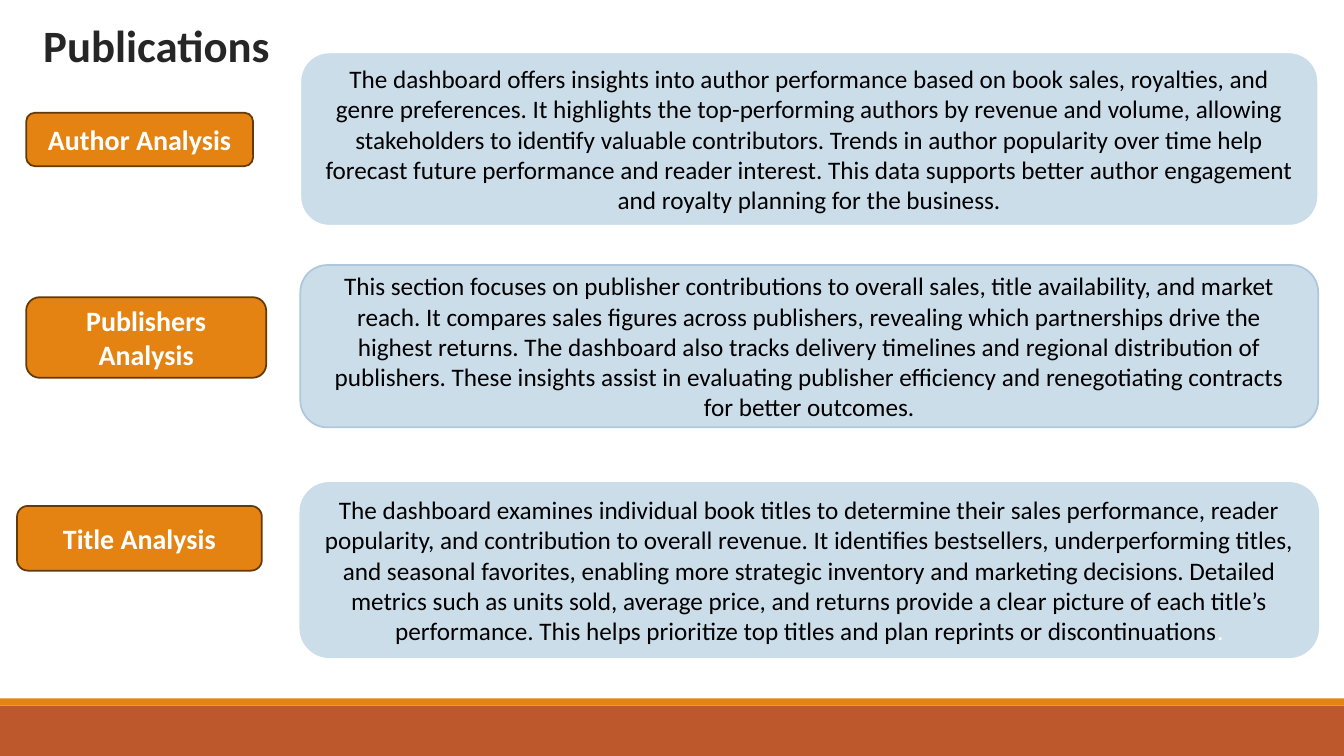
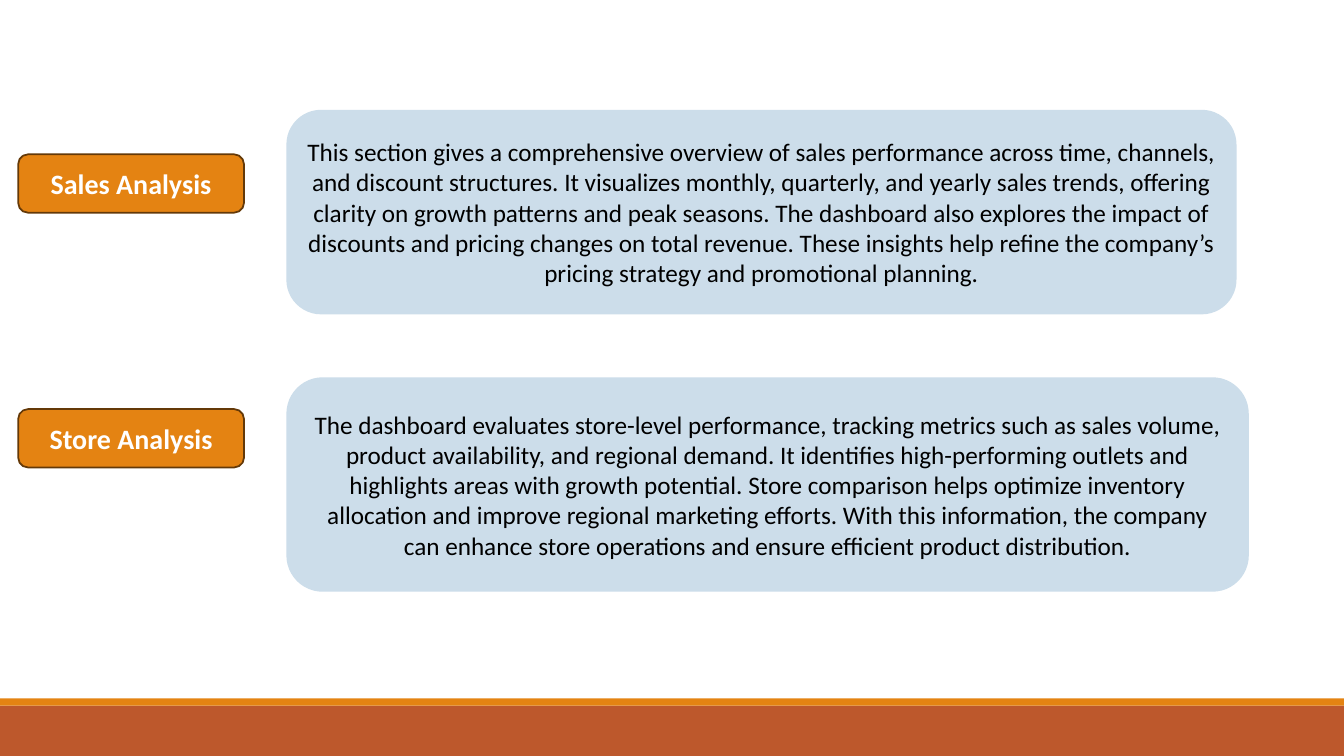
from pptx import Presentation
from pptx.dml.color import RGBColor
from pptx.enum.shapes import MSO_SHAPE
from pptx.enum.text import MSO_ANCHOR, PP_ALIGN
from pptx.util import Cm, Pt

RECTANGLE = MSO_SHAPE.RECTANGLE
ROUNDED = MSO_SHAPE.ROUNDED_RECTANGLE
MIDDLE = MSO_ANCHOR.MIDDLE
CENTER = PP_ALIGN.CENTER

RUST = RGBColor(0xBD, 0x58, 0x2C)
ORANGE = RGBColor(0xE4, 0x83, 0x12)
BROWN = RGBColor(0x64, 0x39, 0x08)
PALE_BLUE = RGBColor(0xCC, 0xDD, 0xEA)
BLUE = RGBColor(0xAD, 0xC8, 0xDD)
CHARCOAL = RGBColor(0x26, 0x26, 0x26)
BLACK = RGBColor(0x00, 0x00, 0x00)
WHITE = RGBColor(0xFF, 0xFF, 0xFF)

FONT = "Calibri"
SLIDE_WIDTH, SLIDE_HEIGHT = 33.87, 19.05
BAND_HEIGHT, STRIPE_HEIGHT = 1.27, 0.18

PUBLICATIONS = [
    ("Author Analysis", (0.66, 2.84, 5.72, 1.35), (7.57, 1.32, 25.65, 4.37), WHITE,
     ["The dashboard offers insights into author performance based on book sales, "
      "royalties, and genre preferences. It highlights the top-performing authors by "
      "revenue and volume, allowing stakeholders to identify valuable contributors. "
      "Trends in author popularity over time help forecast future performance and "
      "reader interest. This data supports better author engagement and royalty "
      "planning for the business."]),
    ("Publishers Analysis", (0.66, 7.49, 6.05, 2.03), (7.57, 6.68, 25.65, 4.09), BLUE,
     ["This section focuses on publisher contributions to overall sales, title "
      "availability, and market reach. It compares sales figures across publishers, "
      "revealing which partnerships drive the highest returns. The dashboard also "
      "tracks delivery timelines and regional distribution of publishers. These "
      "insights assist in evaluating publisher efficiency and renegotiating contracts "
      "for better outcomes."]),
    ("Title Analysis", (0.43, 12.75, 6.17, 1.63), (7.57, 12.17, 25.65, 4.39), PALE_BLUE,
     ["The dashboard examines individual book titles to determine their sales "
      "performance, reader popularity, and contribution to overall revenue. It "
      "identifies bestsellers, underperforming titles, and seasonal favorites, "
      "enabling more strategic inventory and marketing decisions. Detailed metrics "
      "such as units sold, average price, and returns provide a clear picture of each "
      "title’s performance. This helps prioritize top titles and plan reprints or "
      "discontinuations", "."]),
]

OPERATIONS = [
    ("Sales Analysis", (0.46, 3.89, 5.69, 1.47), (7.24, 2.79, 23.9, 5.11), PALE_BLUE,
     ["This section gives a comprehensive overview of sales performance across time, "
      "channels, and discount structures. It visualizes monthly, quarterly, and yearly "
      "sales trends, offering clarity on growth patterns and peak seasons. The "
      "dashboard also explores the impact of discounts and pricing changes on total "
      "revenue. These insights help refine the company’s pricing strategy and "
      "promotional planning."]),
    ("Store Analysis", (0.46, 10.31, 5.69, 1.47), (7.24, 9.53, 24.21, 5.36), PALE_BLUE,
     ["The dashboard evaluates store-level performance, tracking metrics such as sales "
      "volume, product availability, and regional demand. It identifies high-performing "
      "outlets and highlights areas with growth potential. Store comparison helps "
      "optimize inventory allocation and improve regional marketing efforts. With this "
      "information, the company can enhance store operations and ensure efficient "
      "product distribution."]),
]


def add_run(paragraph, text, size, color, bold=False):
    run = paragraph.add_run()
    run.text = text
    run.font.name = FONT
    run.font.size = Pt(size)
    run.font.bold = bold
    run.font.color.rgb = color


def add_block(slide, preset, box, fill, line=None):
    shape = slide.shapes.add_shape(preset, *map(Cm, box))
    shape.shadow.inherit = False
    shape.fill.solid()
    shape.fill.fore_color.rgb = fill
    if line is None:
        shape.line.fill.background()
    else:
        shape.line.color.rgb = line
        shape.line.width = Pt(1.25)
    return shape


def add_card(slide, box, fill, line):
    text_frame = add_block(slide, ROUNDED, box, fill, line).text_frame
    text_frame.word_wrap = True
    text_frame.vertical_anchor = MIDDLE
    paragraph = text_frame.paragraphs[0]
    paragraph.alignment = CENTER
    return paragraph


def add_section(slide, label, label_box, body_box, outline, body):
    add_run(add_card(slide, label_box, ORANGE, BROWN), label, 20, WHITE, bold=True)
    paragraph = add_card(slide, body_box, PALE_BLUE, outline)
    for text, color in zip(body, (BLACK, WHITE)):
        add_run(paragraph, text, 18, color)


def add_footer(slide):
    band_top = SLIDE_HEIGHT - BAND_HEIGHT
    add_block(slide, RECTANGLE, (0, band_top, SLIDE_WIDTH, BAND_HEIGHT), RUST)
    add_block(slide, RECTANGLE,
              (0, band_top - STRIPE_HEIGHT, SLIDE_WIDTH, STRIPE_HEIGHT), ORANGE)


def add_title(slide, text):
    title = slide.shapes.add_textbox(Cm(0.84), Cm(0.33), Cm(6.45), Cm(1.63))
    title.text_frame.word_wrap = True
    add_run(title.text_frame.paragraphs[0], text, 32, CHARCOAL, bold=True)


def add_analysis_slide(presentation, sections, title=None):
    slide = presentation.slides.add_slide(presentation.slide_layouts[6])
    add_footer(slide)
    if title:
        add_title(slide, title)
    for section in sections:
        add_section(slide, *section)


def main():
    presentation = Presentation()
    presentation.slide_width = Cm(SLIDE_WIDTH)
    presentation.slide_height = Cm(SLIDE_HEIGHT)
    add_analysis_slide(presentation, PUBLICATIONS, "Publications")
    add_analysis_slide(presentation, OPERATIONS)
    presentation.save("out.pptx")


if __name__ == "__main__":
    main()
